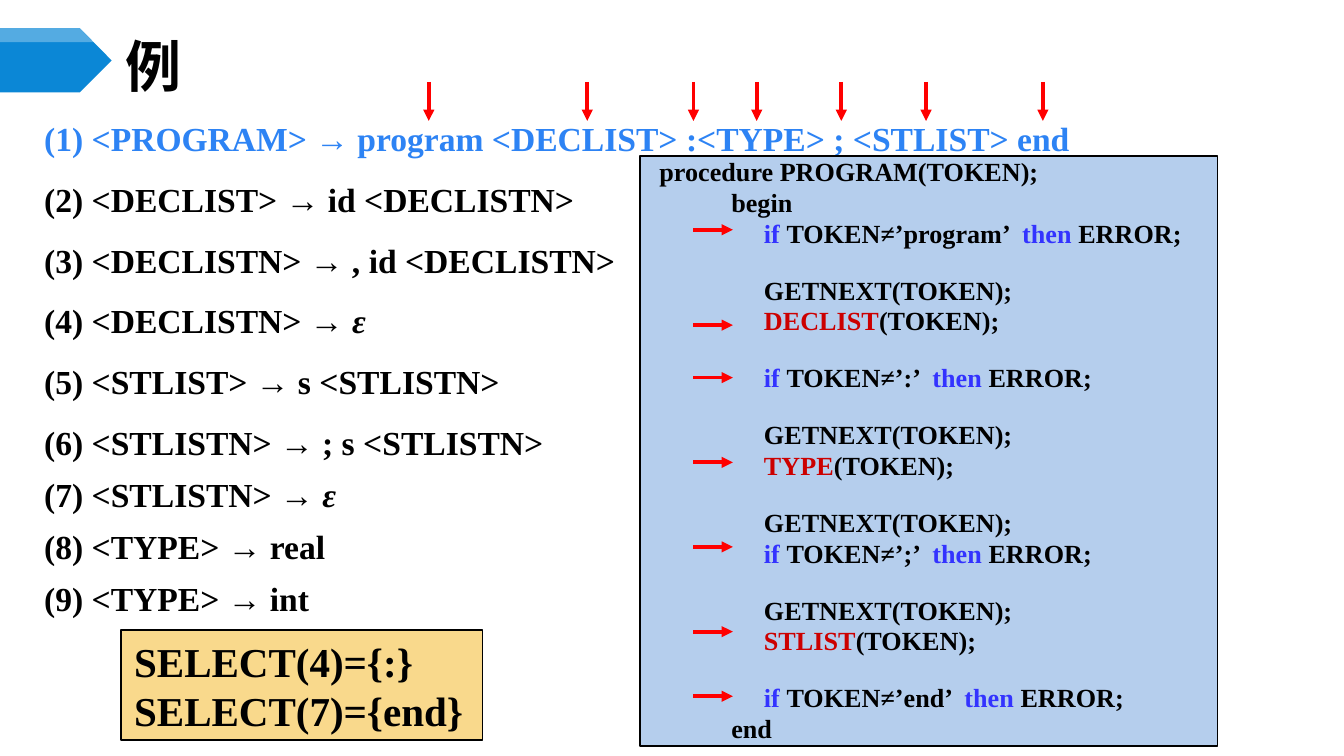
"""Build a slide on recursive descent parsing: grammar rules beside a procedure."""
import pptx
import pptx.util
import pptx.dml.color
import pptx.enum.shapes
import pptx.enum.text
import pptx.oxml
import pptx.oxml.ns

Pt = pptx.util.Pt
RGB = pptx.dml.color.RGBColor
Kind = pptx.enum.shapes.MSO_SHAPE
Anchor = pptx.enum.text.MSO_ANCHOR
Align = pptx.enum.text.PP_ALIGN
qn = pptx.oxml.ns.qn

BLACK = RGB(0x00, 0x00, 0x00)
WHITE = RGB(0xFF, 0xFF, 0xFF)
RED = RGB(0xFF, 0x00, 0x00)
BANNER = RGB(0x0B, 0x87, 0xD6)
ACTIVE = RGB(0x2D, 0x83, 0xF4)
KEYWORD = RGB(0x33, 0x33, 0xFF)
CALL = RGB(0xCC, 0x00, 0x00)
GOLD = RGB(0xF9, 0xD9, 0x8C)
SKY = RGB(0xB5, 0xCE, 0xED)
SERIF = "Times New Roman"
SANS = "Noto Sans CJK SC"

TITLE = "例"
RULES = [
    ("<PROGRAM>", "program <DECLIST> :<TYPE> ; <STLIST> end"),
    ("<DECLIST>", "id <DECLISTN>"),
    ("<DECLISTN>", ", id <DECLISTN>"),
    ("<DECLISTN>", "ε"),
    ("<STLIST>", "s <STLISTN>"),
    ("<STLISTN>", "; s <STLISTN>"),
    ("<STLISTN>", "ε"),
    ("<TYPE>", "real"),
    ("<TYPE>", "int"),
]
SELECTS = ["SELECT(4)={:}", "SELECT(7)={end}"]
CODE = [
    ("plain", 3.5, "procedure PROGRAM(TOKEN);"),
    ("plain", 42, "begin"),
    ("check", 59.5, "program"),
    ("next", 59.5, "GETNEXT"),
    ("call", 59.5, "DECLIST"),
    ("check", 59.5, ":"),
    ("next", 59.5, "GETNEXT"),
    ("call", 59.5, "TYPE"),
    ("next", 59.5, "GETNEXT"),
    ("check", 59.5, ";"),
    ("next", 59.5, "GETNEXT"),
    ("call", 59.5, "STLIST"),
    ("check", 59.5, "end"),
    ("plain", 42, "end"),
]
AIRY = {3, 5, 6, 8, 10, 12}
DOWNS = [229.7, 314.6, 371.5, 405.4, 450.7, 496.1, 558.7]
RIGHTS = [123.1, 174.2, 202.3, 247.7, 293, 338.4, 373]


def write(para, text, size, color=BLACK, slant=False, face=SERIF):
    """Add one bold run to a paragraph."""
    run = para.add_run()
    run.text = text
    font = run.font
    font.name, font.size, font.bold = face, Pt(size), True
    font.italic = slant
    font.color.rgb = color
    east = run._r.get_or_add_rPr().makeelement(qn("a:ea"), {"typeface": face})
    font._rPr.find(qn("a:latin")).addnext(east)


def lines(frame, count):
    """Return the given number of left-aligned paragraphs."""
    frame.word_wrap = True
    paras = [frame.paragraphs[0]] + [frame.add_paragraph() for _ in range(count - 1)]
    for para in paras:
        para.alignment = Align.LEFT
    return paras


def panel(slide, box, fill, anchor):
    """Add a filled box with a thin black edge and return its text frame."""
    shape = slide.shapes.add_shape(Kind.RECTANGLE, *map(Pt, box))
    shape.shadow.inherit = False
    shape.fill.solid()
    shape.fill.fore_color.rgb = fill
    shape.line.color.rgb = BLACK
    shape.line.width = Pt(1)
    shape.text_frame.vertical_anchor = anchor
    return shape.text_frame


def outline(slide, points, fill):
    """Add a closed shape without an edge."""
    spots = [(Pt(x), Pt(y)) for x, y in points]
    maker = slide.shapes.build_freeform(*spots[0])
    maker.add_line_segments(spots[1:], close=True)
    shape = maker.convert_to_shape()
    shape.shadow.inherit = False
    shape.fill.solid()
    shape.fill.fore_color.rgb = fill
    shape.line.fill.background()
    return shape


def arrow(slide, start, end):
    """Add a red arrow."""
    link = slide.shapes.add_connector(
        pptx.enum.shapes.MSO_CONNECTOR.STRAIGHT, *map(Pt, start + end))
    link.line.color.rgb = RED
    link.line.width = Pt(2)
    edge = link.line._get_or_add_ln()
    edge.append(edge.makeelement(qn("a:tailEnd"), {"type": "triangle"}))
    props = link._element.spPr
    props.append(props.makeelement(qn("a:effectLst"), {}))


def parts(kind, text):
    """Split a code line into coloured pieces."""
    if kind == "check":
        return [("if ", KEYWORD), (f"TOKEN≠’{text}’  ", BLACK),
                ("then ", KEYWORD), ("ERROR;", BLACK)]
    if kind == "call":
        return [(text, CALL), ("(TOKEN);", BLACK)]
    return [(text + "(TOKEN);" if kind == "next" else text, BLACK)]


def main():
    """Lay out and save the slide."""
    deck = pptx.Presentation()
    deck.slide_width, deck.slide_height = Pt(720), Pt(405)
    slide = deck.slides.add_slide(deck.slide_layouts[5])

    outline(slide, [(0, 15.1), (42.8, 15.1), (59.8, 32.4), (42.8, 49.5), (0, 49.5)], BANNER)
    gloss = outline(slide, [(0, 15.1), (42.8, 15.1), (50, 22.5), (0, 22.5)], WHITE)
    tint = gloss.fill._xPr.find(qn("a:solidFill"))[0]
    tint.append(tint.makeelement(qn("a:alpha"), {"val": "30000"}))

    title = slide.shapes.title
    title.left, title.top, title.width, title.height = map(Pt, (59.8, 20.9, 624.2, 28.1))
    title.text_frame.vertical_anchor = Anchor.MIDDLE
    write(lines(title.text_frame, 1)[0], TITLE, 30, face=SANS)

    frame = panel(slide, (64.8, 337.7, 193.7, 59), GOLD, Anchor.MIDDLE)
    for para, text in zip(lines(frame, len(SELECTS)), SELECTS):
        write(para, text, 22)

    frame = slide.shapes.add_textbox(*map(Pt, (16.6, 53.3, 686.2, 281.5))).text_frame
    for row, (para, (head, body)) in enumerate(zip(lines(frame, len(RULES)), RULES)):
        para.line_spacing = Pt(28)
        para.space_before = Pt(4.5 if 0 < row < 6 else 0)
        color = BLACK if row else ACTIVE
        write(para, f"({row + 1}) {head} → ", 18, color)
        write(para, body, 18, color, slant=body == "ε")

    frame = panel(slide, (342.7, 83.5, 309.6, 316.1), SKY, Anchor.TOP)
    for row, (para, (kind, inset, text)) in enumerate(zip(lines(frame, len(CODE)), CODE)):
        para.line_spacing = Pt(13)
        para.space_before = Pt(17.5 if row in AIRY else 3.5 if row else 0)
        para._p.get_or_add_pPr().set("marL", str(Pt(inset)))
        for piece, color in parts(kind, text):
            write(para, piece, 14, color)

    for x in DOWNS:
        arrow(slide, (x, 43.9), (x, 64.8))
    for y in RIGHTS:
        arrow(slide, (371.5, y), (392.6, y))

    deck.save("out.pptx")


if __name__ == "__main__":
    main()
